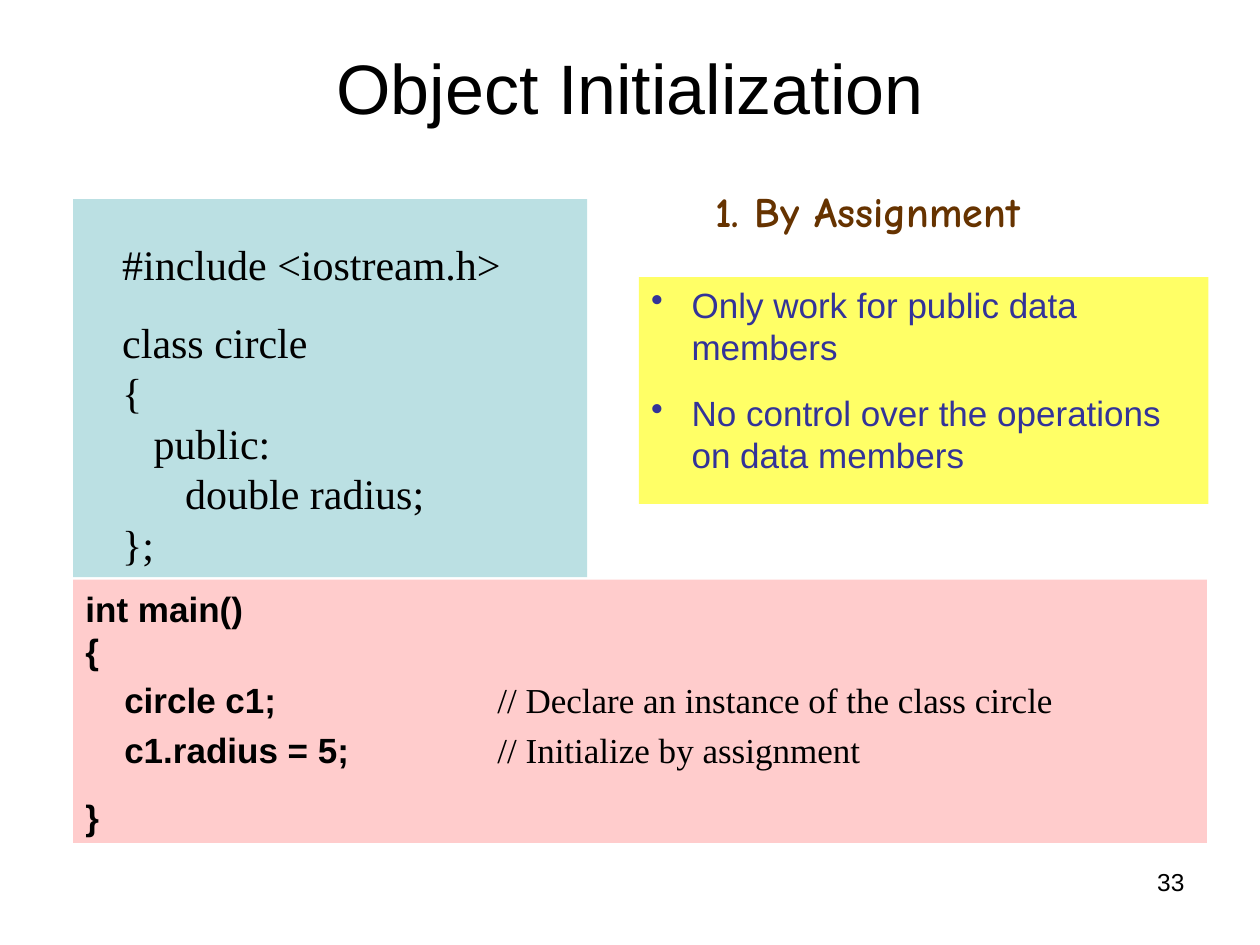
from pptx import Presentation
from pptx.dml.color import RGBColor
from pptx.enum.shapes import MSO_SHAPE
from pptx.enum.text import MSO_ANCHOR, MSO_AUTO_SIZE, PP_ALIGN
from pptx.oxml import parse_xml
from pptx.oxml.ns import nsdecls
from pptx.util import Inches, Pt

# Colours
BLACK = RGBColor(0x00, 0x00, 0x00)
BROWN = RGBColor(0x66, 0x33, 0x00)
INDIGO = RGBColor(0x33, 0x33, 0x99)
TEAL = RGBColor(0xBB, 0xE0, 0xE3)
PINK = RGBColor(0xFF, 0xCC, 0xCC)
YELLOW = RGBColor(0xFF, 0xFF, 0x66)

# Content: (text, points of space before)
TITLE = [("Object Initialization", 0)]
HEAD = [("1. By Assignment", 0)]
NUMBER = [("33", 0)]
CLASS = [
    ("#include <iostream.h>", 0),
    ("class circle", 16),
    ("{", 0),
    ("   public:", 0),
    ("      double radius;", 0),
    ("};", 0),
]
# A tab parts the code from its comment
MAIN = [
    ("int main()", 0),
    ("{", 0),
    ("    circle c1;\t// Declare an instance of the class circle", 4),
    ("    c1.radius = 5;\t// Initialize by assignment", 5),
    ("}", 14),
]
NOTES = [
    ("Only work for public data\vmembers", 0),
    ("No control over the operations\von data members", 14),
]


def style(run, size, face, color, bold):
    font = run.font
    font.size, font.name, font.bold = Pt(size), face, bold
    font.color.rgb = color


def put(shape, lines, size=20, face="Arial", color=BLACK, bold=False,
        align=PP_ALIGN.LEFT, anchor=MSO_ANCHOR.TOP, top=0.05,
        left=0, hang=0, bullet=False, tab=None):
    """Fill a shape with formatted paragraphs."""
    frame = shape.text_frame
    frame.word_wrap = True
    frame.auto_size = MSO_AUTO_SIZE.NONE
    frame.vertical_anchor = anchor
    frame.margin_top = Inches(top)
    for i, (text, gap) in enumerate(lines):
        para = frame.add_paragraph() if i else frame.paragraphs[0]
        code, mark, note = text.partition("\t")
        para.text = code + mark
        for run in para.runs:
            style(run, size, face, color, bold)
        if note:
            run = para.add_run()
            run.text = note
            style(run, size, "Times New Roman", color, False)
        # Indent, bullet and tab stop
        props = para._p.get_or_add_pPr()
        if left:
            props.set("marL", str(Inches(left)))
            props.set("indent", str(Inches(-hang)))
            kind = 'buChar {} char="•"' if bullet else "buNone {}"
            props.append(parse_xml(f"<a:{kind.format(nsdecls('a'))}/>"))
        if tab:
            props.set("defTabSz", str(Inches(tab)))
            props.append(parse_xml(
                f'<a:tabLst {nsdecls("a")}>'
                f'<a:tab pos="{Inches(tab)}" algn="l"/></a:tabLst>'))
        para.alignment = align
        para.space_before = Pt(gap)
        para.space_after = Pt(0)


def place(shape, x, y, w, h):
    shape.left, shape.top = Inches(x), Inches(y)
    shape.width, shape.height = Inches(w), Inches(h)
    return shape


def paint(shape, color):
    shape.fill.solid()
    shape.fill.fore_color.rgb = color
    shape.line.fill.background()
    return shape


deck = Presentation()
deck.slide_width, deck.slide_height = Inches(10), Inches(7.5)
slide = deck.slides.add_slide(deck.slide_layouts[1])
shapes = slide.shapes


def panel(x, y, w, h, color):
    box = shapes.add_shape(MSO_SHAPE.RECTANGLE, Inches(x), Inches(y),
                           Inches(w), Inches(h))
    box.shadow.inherit = False
    return paint(box, color)


def label(x, y, w, h):
    return shapes.add_textbox(Inches(x), Inches(y), Inches(w), Inches(h))


# Title and class code
put(place(shapes.title, 0.5, 0.3, 9, 0.78), TITLE, size=40,
    align=PP_ALIGN.CENTER, anchor=MSO_ANCHOR.MIDDLE)
body = place(slide.placeholders[1], 0.58, 1.58, 4.08, 3)
put(paint(body, TEAL), CLASS, size=24, face="Times New Roman",
    top=0.31, left=0.29)

# Main program
put(panel(0.58, 4.6, 9, 2.09, PINK), MAIN, bold=True, top=0.06, tab=3.27)

# Heading and remarks
put(label(5.58, 1.42, 3.02, 0.5), HEAD, size=24, face="Comic Neue",
    color=BROWN, bold=True)
put(panel(5.07, 2.2, 4.52, 1.8, YELLOW), NOTES, color=INDIGO,
    left=0.32, hang=0.32, bullet=True)

# Slide number
put(label(7.17, 6.83, 2.33, 0.52), NUMBER, size=14, align=PP_ALIGN.RIGHT)

deck.save("out.pptx")
